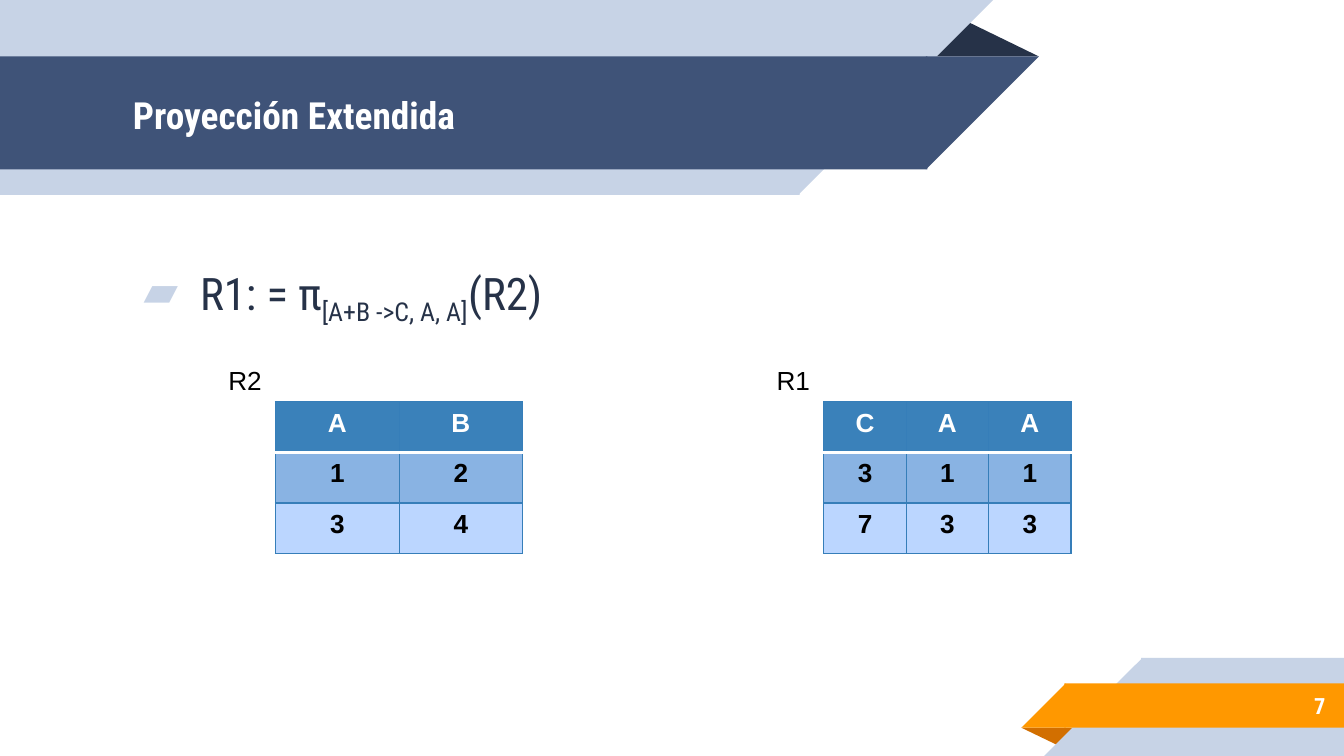
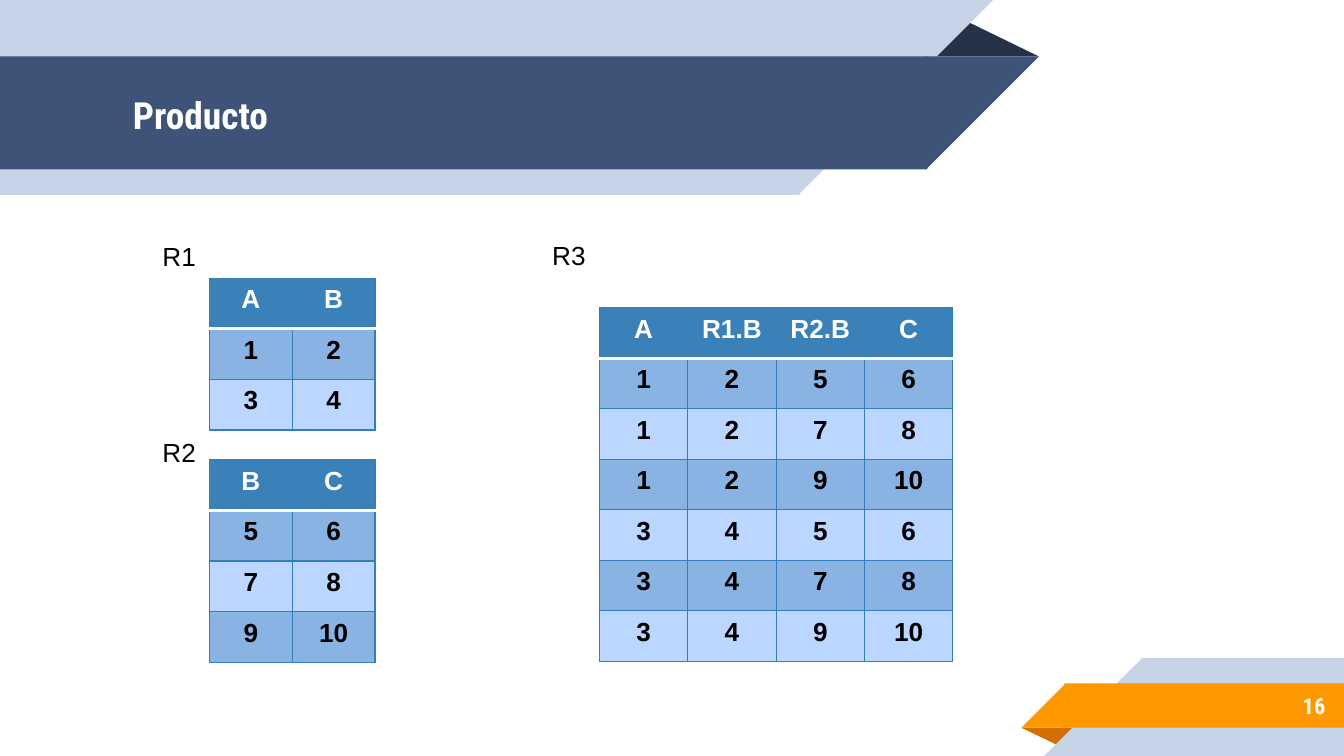
import dataclasses

import lxml.etree
import pptx
import pptx.dml.color
import pptx.enum.shapes
import pptx.enum.text
import pptx.oxml.ns
import pptx.util

Inches = pptx.util.Inches
Pt = pptx.util.Pt
SHAPE = pptx.enum.shapes.MSO_SHAPE
ALIGN = pptx.enum.text.PP_ALIGN
ANCHOR = pptx.enum.text.MSO_ANCHOR
qn = pptx.oxml.ns.qn

SLIDE_WIDTH = 10
SLIDE_HEIGHT = SLIDE_WIDTH * 9 / 16
OVERLAP = 0.01  # hides the seam between the two parts of a band


@dataclasses.dataclass(frozen=True)
class Theme:
    pale: str = "C7D3E6"
    navy: str = "3F5378"
    dark: str = "263248"
    orange: str = "FF9800"
    dark_orange: str = "D26F00"
    white: str = "FFFFFF"
    black: str = "000000"
    header: str = "3A81BA"
    border: str = "367EB9"
    odd_row: str = "89B3E3"
    even_row: str = "BBD6FF"
    heading_font: str = "Roboto Condensed"
    table_font: str = "Arial"
    title_size: int = 20
    formula_size: int = 24
    table_size: int = 14
    number_size: int = 12


THEME = Theme()


def rgb(colour):
    return pptx.dml.color.RGBColor.from_string(colour)


def style(paragraph, font, size, colour, bold=False, align=ALIGN.LEFT):
    paragraph.alignment = align
    paragraph.font.name = font
    paragraph.font.size = Pt(size)
    paragraph.font.color.rgb = rgb(colour)
    paragraph.font.bold = bold


def add_block(slide, kind, box, colour, rotation=0):
    shape = slide.shapes.add_shape(kind, *map(Inches, box))
    shape.shadow.inherit = False
    shape.fill.solid()
    shape.fill.fore_color.rgb = rgb(colour)
    shape.line.fill.background()
    shape.rotation = rotation
    return shape


def add_fold(slide, box, colour, rotation=0):
    fold = add_block(slide, SHAPE.ISOSCELES_TRIANGLE, box, colour, rotation)
    fold.adjustments[0] = 0.324


def add_slanted_band(slide, box, colour, slant_right):
    """Rectangle ending in a 45-degree slant on its right or left side."""
    left, top, width, height = box
    straight = width - height
    if slant_right:
        rectangle_left, triangle_left, rotation = left, left + straight, 90
    else:
        rectangle_left, triangle_left, rotation = left + height - OVERLAP, left, 270
    add_block(slide, SHAPE.RECTANGLE, (rectangle_left, top, straight + OVERLAP, height), colour)
    add_block(slide, SHAPE.RIGHT_TRIANGLE, (triangle_left, top, height, height), colour, rotation)


def add_text_box(slide, box, inset=0.1):
    text_box = slide.shapes.add_textbox(*map(Inches, box))
    frame = text_box.text_frame
    frame.word_wrap = True
    frame.vertical_anchor = ANCHOR.MIDDLE
    frame.margin_left = frame.margin_right = Inches(inset)
    frame.margin_top = frame.margin_bottom = Inches(inset)
    return frame


def add_title_banner(slide, box, title):
    left, top, width, height = box
    # Fold and layered bands
    add_fold(slide, (left + width - 0.85, top + 0.14, 0.85, 0.28), THEME.dark)
    add_slanted_band(slide, (left, top, width - 0.34, height), THEME.pale, True)
    add_slanted_band(slide, (left, top + 0.42, width, 0.84), THEME.navy, True)
    # Title
    frame = add_text_box(slide, (left + 0.89, top + 0.43, 6.01, 0.84))
    frame.text = title
    style(frame.paragraphs[0], THEME.heading_font, THEME.title_size, THEME.white, True)


def add_number_banner(slide, box, number):
    left, top, width, height = box
    # Fold and layered bands
    add_fold(slide, (left, top + 0.52, 0.43, 0.14), THEME.dark_orange, 180)
    add_slanted_band(slide, (left + 0.17, top, width - 0.17, height), THEME.pale, False)
    add_slanted_band(slide, (left, top + 0.19, width, 0.33), THEME.orange, False)
    # Slide number
    frame = add_text_box(slide, (left + 0.73, top + 0.18, 1.63, 0.35))
    frame.text = str(number)
    style(frame.paragraphs[0], THEME.heading_font, THEME.number_size, THEME.white, True, ALIGN.RIGHT)


def add_formula(slide, box, pieces):
    """Bulleted line made of (text, is_subscript) pieces."""
    frame = add_text_box(slide, box)
    frame.vertical_anchor = ANCHOR.TOP
    frame.margin_top = Inches(0.7)
    paragraph = frame.paragraphs[0]
    style(paragraph, THEME.heading_font, THEME.formula_size, THEME.dark)
    for text, is_subscript in pieces:
        run = paragraph.add_run()
        run.text = text
        if is_subscript:
            run._r.get_or_add_rPr().set("baseline", "-25000")
    # Bullet
    properties = paragraph._p.get_or_add_pPr()
    properties.set("marL", str(Inches(0.5)))
    properties.set("indent", str(Inches(-0.42)))
    bullet_colour = lxml.etree.Element(qn("a:buClr"))
    lxml.etree.SubElement(bullet_colour, qn("a:srgbClr"), val=THEME.pale)
    bullet = lxml.etree.Element(qn("a:buChar"), char="▰")
    properties.insert(0, bullet_colour)
    properties.insert(1, bullet)


def add_border(cell, side, colour, width):
    line = lxml.etree.SubElement(cell._tc.get_or_add_tcPr(), qn(f"a:ln{side}"), w=str(Pt(width)))
    fill = lxml.etree.SubElement(line, qn("a:solidFill"))
    lxml.etree.SubElement(fill, qn("a:srgbClr"), val=colour)


def fill_cell(cell, text, row):
    is_header = row == 0
    cell.text = text
    style(cell.text_frame.paragraphs[0], THEME.table_font, THEME.table_size,
          THEME.white if is_header else THEME.black, True, ALIGN.CENTER)
    # White rule between the header and the first row
    for side in "LRTB":
        if (row, side) in ((0, "B"), (1, "T")):
            add_border(cell, side, THEME.white, 2)
        else:
            add_border(cell, side, THEME.border, 0.75)
    cell.fill.solid()
    banded = THEME.odd_row if row % 2 else THEME.even_row
    cell.fill.fore_color.rgb = rgb(THEME.header if is_header else banded)


def add_relation(slide, box, name, rows, label_rise=0.33):
    """Table with its relation name above and to the left."""
    left, top, width, height = box
    frame = slide.shapes.add_table(len(rows), len(rows[0]), *map(Inches, box))
    for row, values in enumerate(rows):
        for column, value in enumerate(values):
            fill_cell(frame.table.cell(row, column), value, row)
    # Relation name
    label = slide.shapes.add_textbox(*map(Inches, (left - 0.45, top - label_rise, 0.45, 0.34)))
    label.text_frame.word_wrap = False
    label.text_frame.auto_size = pptx.enum.text.MSO_AUTO_SIZE.SHAPE_TO_FIT_TEXT
    label.text_frame.text = name
    style(label.text_frame.paragraphs[0], THEME.table_font, THEME.table_size, THEME.black)


def add_base_slide(presentation, title, number):
    slide = presentation.slides.add_slide(presentation.slide_layouts[6])
    add_title_banner(slide, (0, 0, 7.73, 1.45), title)
    add_number_banner(slide, (7.6, SLIDE_HEIGHT - 0.73, 2.4, 0.73), number)
    return slide


def add_projection_slide(presentation):
    slide = add_base_slide(presentation, "Proyección Extendida", 7)
    add_formula(slide, (0.89, 1.45, 6.71, 3.44),
                [("R1: = π", False), ("[A+B ->C, A, A]", True), ("(R2)", False)])
    add_relation(slide, (2.05, 2.99, 1.84, 1.13), "R2", ["AB", "12", "34"])
    add_relation(slide, (6.13, 2.99, 1.84, 1.13), "R1", ["CAA", "311", "733"])


def add_product_slide(presentation):
    slide = add_base_slide(presentation, "Producto", 16)
    first = [("1", "2"), ("3", "4")]
    second = [("5", "6"), ("7", "8"), ("9", "10")]
    product = [left + right for left in first for right in second]
    add_relation(slide, (1.56, 2.07, 1.23, 1.13), "R1", [("A", "B")] + first)
    add_relation(slide, (1.56, 3.42, 1.23, 1.51), "R2", [("B", "C")] + second, 0.22)
    add_relation(slide, (4.46, 2.29, 2.63, 2.63), "R3", [("A", "R1.B", "R2.B", "C")] + product, 0.56)


def main():
    presentation = pptx.Presentation()
    presentation.slide_width = Inches(SLIDE_WIDTH)
    presentation.slide_height = Inches(SLIDE_HEIGHT)
    add_projection_slide(presentation)
    add_product_slide(presentation)
    presentation.save("out.pptx")


if __name__ == "__main__":
    main()
